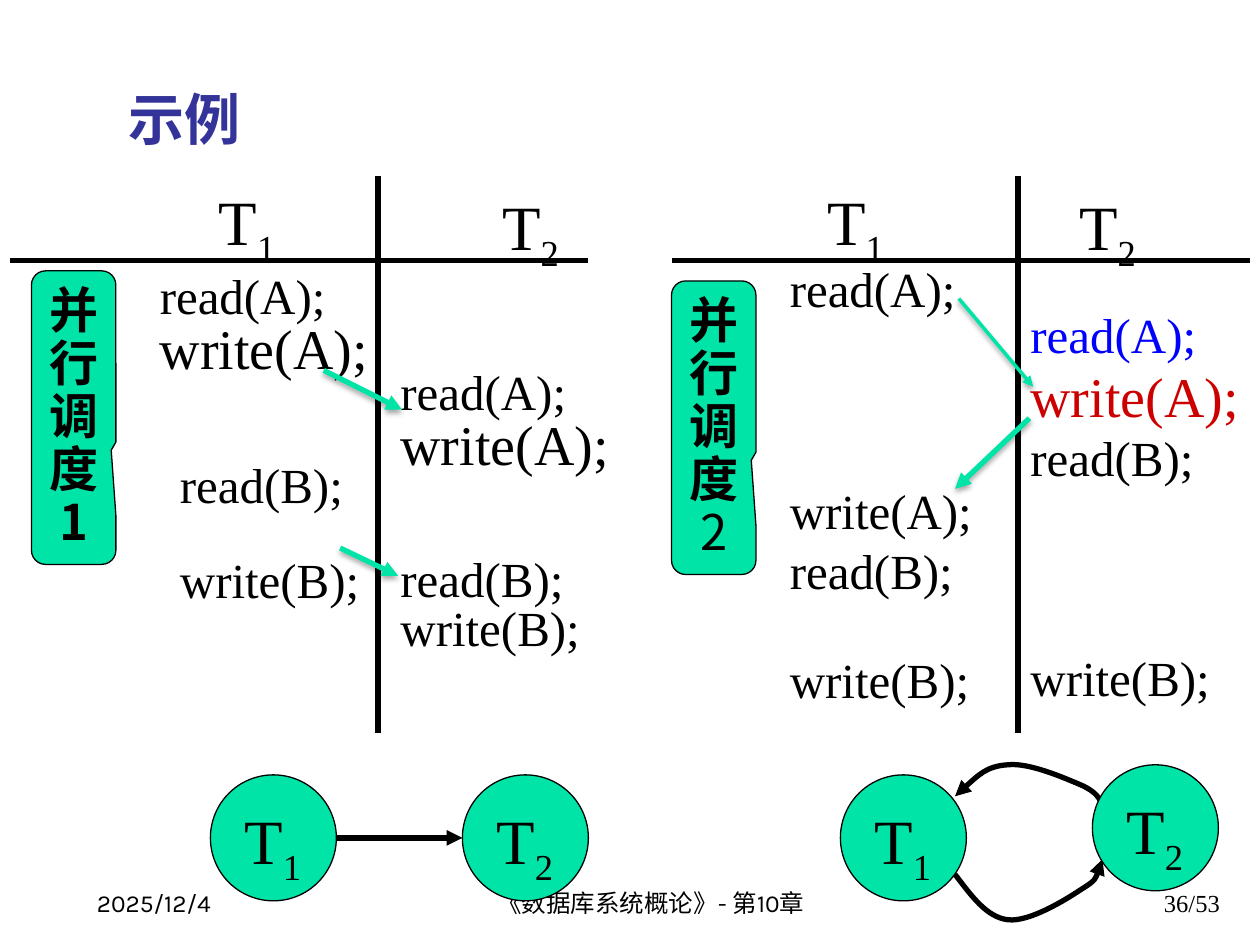
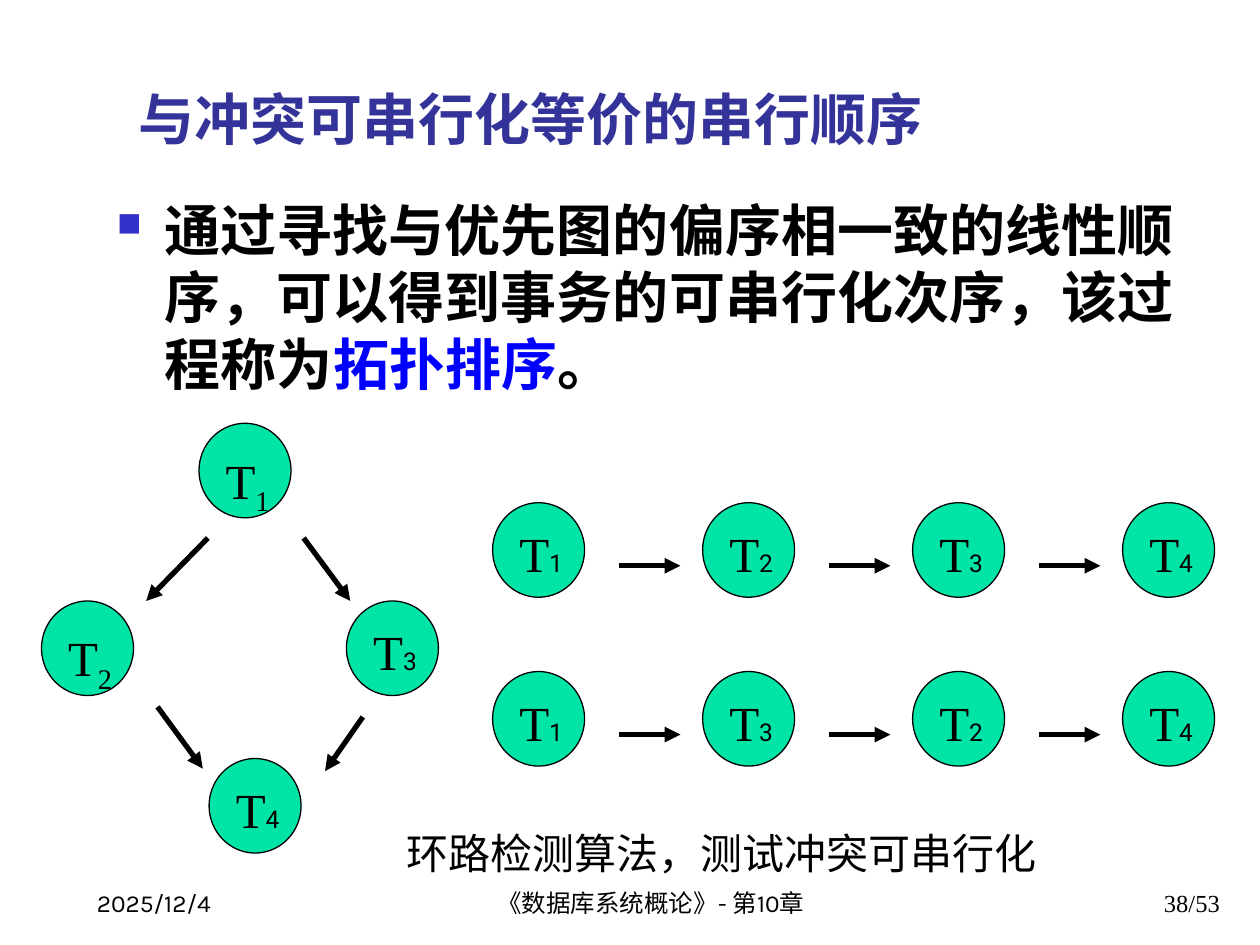
from lxml.etree import SubElement
from pptx import Presentation
from pptx.dml.color import RGBColor
from pptx.enum.shapes import MSO_CONNECTOR, MSO_SHAPE
from pptx.enum.text import MSO_ANCHOR, PP_ALIGN
from pptx.oxml.ns import qn
from pptx.util import Inches, Pt

INK, GREEN, NAVY, BLUE, RED = "000000", "00E4A8", "333399", "0000FF", "CC0000"
SERIF, SANS, HAN, DIGIT = "Times New Roman", "Karla", "Noto Sans CJK SC", "Roboto"
MID, RIGHT = PP_ALIGN.CENTER, PP_ALIGN.RIGHT


def color(code):
    return RGBColor.from_string(code)


def add(parent, tag, **attrs):
    return SubElement(parent, qn(tag), {key: str(val) for key, val in attrs.items()})


class Deck:
    def __init__(self):
        self.prs = Presentation()
        self.prs.slide_width, self.prs.slide_height = Inches(10), Inches(7.5)
        self.slide = None

    def page(self, title, box, number):
        self.slide = self.prs.slides.add_slide(self.prs.slide_layouts[6])
        low = MSO_ANCHOR.BOTTOM
        self.text(box, [title], anchor=low, size=32, name=SANS, bold=True, ink=NAVY)
        feet = [
            (0.67, 2.08, "2025/12/4", None, SANS),
            (3.58, 3.17, "《数据库系统概论》- 第10章", MID, SANS),
            (7.7, 2.08, number, RIGHT, SERIF),
        ]
        for x, width, words, align, name in feet:
            self.text((x, 6.83, width, 0.5), [words], anchor=low, align=align,
                      size=14, name=name)

    def text(self, box, paras, anchor=MSO_ANCHOR.TOP, wrap=True, **style):
        shape = self.slide.shapes.add_textbox(*map(Inches, box))
        self.fill(shape.text_frame, paras, anchor, wrap, **style)
        return shape

    def fill(self, frame, paras, anchor, wrap=True, align=None, pitch=None,
             gap=0, **font):
        """Each paragraph is a string or a list of (words, font changes)."""
        frame.word_wrap, frame.vertical_anchor = wrap, anchor
        for i, runs in enumerate(paras):
            para = frame.add_paragraph() if i else frame.paragraphs[0]
            para.alignment, para.line_spacing = align, pitch
            if i and gap:
                para.space_before = Pt(gap)
            for words, diff in [(runs, {})] if isinstance(runs, str) else runs:
                self.run(para, words, **{**font, **diff})

    def run(self, para, words, size, name, ink=INK, bold=False, base=0):
        run = para.add_run()
        run.text = words
        for key, val in {"size": Pt(size), "name": name, "bold": bold}.items():
            setattr(run.font, key, val)
        run.font.color.rgb = color(ink)
        props = run._r.get_or_add_rPr()
        if base:
            props.set("baseline", str(base * 1000))
        add(props, "a:ea", typeface=SANS)

    def shape(self, kind, box):
        shape = self.slide.shapes.add_shape(kind, *map(Inches, box))
        shape.shadow.inherit = False
        shape.fill.solid()
        shape.fill.fore_color.rgb = color(GREEN)
        shape.line.color.rgb, shape.line.width = color(INK), Pt(0.75)
        return shape

    def mark(self, box, digit, size, low=True):
        """Write T with its index, either lowered or in small digits."""
        diff = {"base": -25} if low else {"size": 14, "name": DIGIT}
        self.text(box, [[("T", {}), (digit, diff)]], align=MID, pitch=0.9,
                  size=size, name=SERIF)

    def node(self, x, y, digit, big=False, low=True):
        wide, high, span, tall, size = (
            (1, 1, 0.83, 0.7, 36) if big else (0.73, 0.75, 0.61, 0.53, 28))
        self.shape(MSO_SHAPE.OVAL, (x, y, wide, high))
        self.mark((x + 0.08, y + 0.17, span, tall), digit, size, low)

    def line(self, x1, y1, x2, y2, ink=INK, width=3, tip=True, glow=False):
        line = self.slide.shapes.add_connector(
            MSO_CONNECTOR.STRAIGHT, *map(Inches, (x1, y1, x2, y2)))
        line.line.color.rgb, line.line.width = color(ink), Pt(width)
        if tip:
            add(line.line._get_or_add_ln(), "a:tailEnd", type="triangle")
        effects = add(line._element.spPr, "a:effectLst")
        if glow:
            shade = add(effects, "a:outerShdw", blurRad=Pt(3.1), dist=Pt(1.8),
                        dir=5400000, rotWithShape=0)
            add(add(shade, "a:srgbClr", val=INK), "a:alpha", val=35000)

    def curve(self, points, end):
        """Draw Bezier arcs: a start, then three points for each arc."""
        spots = [(Inches(x), Inches(y)) for x, y in points]
        pen = self.slide.shapes.build_freeform(*spots[0])
        pen.add_line_segments(spots[1:], close=False)
        shape = pen.convert_to_shape()
        shape.shadow.inherit = False
        shape.fill.background()
        shape.line.color.rgb, shape.line.width = color(INK), Pt(3)
        add(shape.line._get_or_add_ln(), end, type="triangle")
        route = shape._element.find(".//" + qn("a:path"))
        steps = route.findall(qn("a:lnTo"))
        for i in range(0, len(steps), 3):
            arc = add(route, "a:cubicBezTo")
            for step in steps[i:i + 3]:
                arc.append(step[0])
                route.remove(step)

    def banner(self, x, y, digit, bold):
        shape = self.shape(MSO_SHAPE.ROUNDED_RECTANGULAR_CALLOUT, (x, y, 0.67, 2.33))
        for i, val in enumerate((0.445, 0.111, 0.167)):
            shape.adjustments[i] = val
        self.fill(shape.text_frame, [*"并行调度", [(digit, {"bold": bold})]],
                  MSO_ANCHOR.MIDDLE, False, align=MID, pitch=Pt(30.3),
                  size=28, name=HAN, bold=True)

    def steps(self, x, y, wide, high, paras, pitch=0.8, gap=1.5):
        self.text((x, y, wide, high), paras, pitch=pitch, gap=gap,
                  size=28, name=SERIF)


def compare(deck):
    deck.page("示例", (0.92, 0.42, 8.86, 0.83), "36/53")
    for left, post in ((0.08, 3), (5.33, 8.08)):
        deck.line(left, 2.07, left + 4.59, 2.07, tip=False)
        deck.line(post, 1.4, post, 5.82, tip=False)
    for x, y, digit in ((1.42, 1.41, "1"), (3.67, 1.45, "2"),
                        (6.25, 1.41, "1"), (8.25, 1.45, "2")):
        deck.mark((x, y, 1.08, 0.7), digit, 36)
    deck.banner(0.25, 2.15, "1", True)
    deck.banner(5.33, 2.23, "2", False)

    for x, y, digit in ((1.67, 6.15, "1"), (3.67, 6.15, "2"), (6.67, 6.15, "1")):
        deck.node(x, y, digit, big=True)
    deck.line(2.67, 6.65, 3.67, 6.65)
    deck.curve([(7.58, 6.32), (7.71, 6.2), (7.83, 6.08), (8, 6.07), (8.17, 6.05),
                (8.46, 6.18), (8.58, 6.23), (8.71, 6.29), (8.73, 6.34),
                (8.75, 6.4)], "a:headEnd")
    deck.curve([(7.58, 6.94), (7.71, 7.11), (7.83, 7.28), (8, 7.3), (8.17, 7.32),
                (8.46, 7.14), (8.58, 7.06), (8.71, 6.98), (8.73, 6.9),
                (8.75, 6.82)], "a:tailEnd")
    deck.node(8.67, 6.07, "2", big=True)

    large = [("write(A);", {"size": 32})]
    for x, y in ((1.17, 2.15), (3.08, 2.91)):
        deck.steps(x, y, 2.17, 0.9, ["read(A);", large])
    deck.steps(1.33, 3.65, 1.67, 0.85, ["read(B);", "write(B);"], gap=27)
    deck.steps(3.08, 4.39, 1.92, 0.85, ["read(B);", "write(B);"])
    deck.steps(6.17, 2.09, 2.17, 0.47, ["read(A);"])
    deck.steps(8.08, 5.18, 1.92, 0.47, ["write(B);"])
    deck.steps(6.17, 3.8, 1.92, 0.95, ["write(A);", "read(B);"], 0.95, 2)
    deck.steps(6.17, 5.14, 1.92, 0.52, ["write(B);"], 0.95)
    deck.steps(8.08, 2.4, 1.92, 1.5, [
        [("read(A);", {"ink": BLUE})],
        [("write(A);", {"size": 32, "ink": RED})],
        "read(B);",
    ], 0.95, 1)
    for *ends, width in ((2.57, 2.94, 3.19, 3.25, 3), (2.7, 4.35, 3.16, 4.57, 3),
                         (7.61, 2.37, 8.2, 3.07, 2), (8.17, 3.32, 7.58, 3.88, 3)):
        deck.line(*ends, ink=GREEN, width=width, glow=True)


def order(deck):
    deck.page("与冲突可串行化等价的串行顺序", (1, 0, 8, 1.25), "38/53")
    body = deck.text((0.83, 1.5, 8.81, 1.86), [[
        ("通过寻找与优先图的偏序相一致的线性顺序，可以得到事务的可串行化次序，该过程称为", {}),
        ("拓扑排序", {"ink": BLUE}),
        ("。", {}),
    ]], size=32, name=SANS, bold=True)
    props = body.text_frame.paragraphs[0]._p.get_or_add_pPr()
    props.set("marL", str(Inches(0.38)))
    props.set("indent", str(-Inches(0.38)))
    add(add(props, "a:buClr"), "a:srgbClr", val="3333CC")
    add(props, "a:buSzPct", val=60000)
    add(props, "a:buChar", char="■")

    for x, y, digit, low in ((1.58, 3.36, "1", True), (0.33, 4.77, "2", True),
                             (2.75, 4.77, "3", False), (1.66, 6.02, "4", False)):
        deck.node(x, y, digit, low=low)
    for ends in ((2.41, 4.27, 2.78, 4.77), (1.65, 4.27, 1.16, 4.77),
                 (2.88, 5.69, 2.58, 6.12), (1.25, 5.61, 1.61, 6.1)):
        deck.line(*ends)
    for y, chain in ((3.99, "1234"), (5.33, "1324")):
        for i, digit in enumerate(chain):
            x = 3.91 + i * 5 / 3
            deck.node(x, y, digit, low=False)
            if i < 3:
                deck.line(x + 1, y + 0.5, x + 1.49, y + 0.5)
    deck.text((3.13, 6.56, 5.25, 0.46), ["环路检测算法，测试冲突可串行化"],
              wrap=False, pitch=0.9, size=24, name=SANS)


def main():
    deck = Deck()
    compare(deck)
    order(deck)
    deck.prs.save("out.pptx")


if __name__ == "__main__":
    main()
